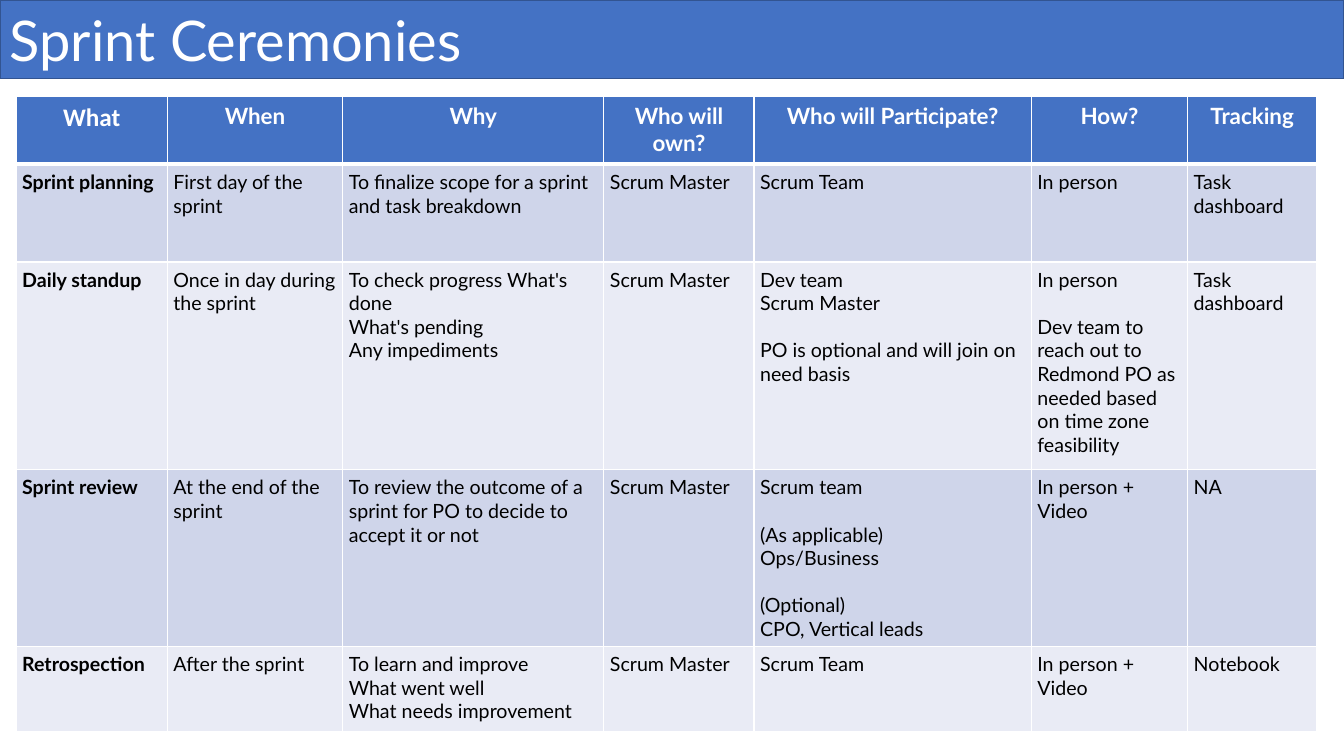
from lxml.etree import SubElement
from pptx import Presentation
from pptx.dml.color import RGBColor
from pptx.enum.shapes import MSO_SHAPE as Shape
from pptx.enum.text import MSO_ANCHOR as Anchor, PP_ALIGN as Align
from pptx.oxml.ns import qn
from pptx.util import Inches, Pt

COLORS = {
    "blue": "4472C4",
    "outline": "325491",
    "band_dark": "CFD5EA",
    "band_light": "E9EBF5",
    "white": "FFFFFF",
    "black": "000000",
}
FONT = "Lato"
GROUP_GAP = Pt(16.8)  # one line of 14 pt text

COLUMN_WIDTHS = [1.5, 1.74, 2.59, 1.49, 2.75, 1.55, 1.28]
ROW_HEIGHTS = [0.67, 0.97, 2.06, 1.74, 0.84]
HEADINGS = ["What", "When", "Why", "Who will own?", "Who will Participate?",
            "How?", "Tracking"]
# A double line break starts a new group of lines within a cell
CEREMONIES = [
    ["Sprint planning", "First day of the sprint",
     "To finalize scope for a sprint and task breakdown",
     "Scrum Master", "Scrum Team", "In person", "Task dashboard"],
    ["Daily standup", "Once in day during the sprint",
     "To check progress What's done\nWhat's pending\nAny impediments",
     "Scrum Master",
     "Dev team\nScrum Master\n\nPO is optional and will join on need basis",
     "In person\n\nDev team to reach out to Redmond PO as needed based on "
     "time zone feasibility",
     "Task dashboard"],
    ["Sprint review", "At the end of the sprint",
     "To review the outcome of a sprint for PO to decide to accept it or not",
     "Scrum Master",
     "Scrum team\n\n(As applicable)\nOps/Business\n\n"
     "(Optional)\nCPO, Vertical leads",
     "In person + Video", "NA"],
    ["Retrospection", "After the sprint",
     "To learn and improve\nWhat went well\nWhat needs improvement",
     "Scrum Master", "Scrum Team", "In person + Video", "Notebook"],
]


def rgb(name):
    return RGBColor.from_string(COLORS[name])


def style_run(run, size, color, bold=False, font=FONT):
    run.font.name = font
    run.font.size = Pt(size)
    run.font.bold = bold
    run.font.color.rgb = rgb(color)


def add_title_bar(slide, text):
    bar = slide.shapes.add_shape(Shape.RECTANGLE, 0, 0, Inches(13.33), Inches(0.78))
    bar.shadow.inherit = False
    bar.fill.solid()
    bar.fill.fore_color.rgb = rgb("blue")
    bar.line.color.rgb = rgb("outline")
    bar.line.width = Pt(1)
    bar.text_frame.text = text
    bar.text_frame.vertical_anchor = Anchor.MIDDLE
    title = bar.text_frame.paragraphs[0]
    title.alignment = Align.LEFT
    style_run(title.runs[0], 40, "white")


def set_borders(cell, top, bottom):
    properties = cell._tc.get_or_add_tcPr()
    for side, width in (("L", 1), ("R", 1), ("T", top), ("B", bottom)):
        line = SubElement(properties, qn(f"a:ln{side}"), w=str(Pt(width)))
        fill = SubElement(line, qn("a:solidFill"))
        SubElement(fill, qn("a:srgbClr"), val=COLORS["white"])


def fill_cell(cell, text, fill, top=1, bottom=1):
    set_borders(cell, top, bottom)
    cell.fill.solid()
    cell.fill.fore_color.rgb = rgb(fill)
    cell.margin_left = cell.margin_right = Inches(0.06)
    cell.margin_top = cell.margin_bottom = Inches(0.06)
    groups = [group.split("\n") for group in text.split("\n\n")]
    cell.text_frame.text = "\n".join(line for group in groups for line in group)
    start = 0
    for group in groups:
        if start:
            cell.text_frame.paragraphs[start].space_before = GROUP_GAP
        start += len(group)


def add_ceremony_table(slide):
    table = slide.shapes.add_table(
        len(ROW_HEIGHTS), len(COLUMN_WIDTHS), Inches(0.16), Inches(0.96),
        Inches(sum(COLUMN_WIDTHS)), Inches(sum(ROW_HEIGHTS))).table
    for column, width in zip(table.columns, COLUMN_WIDTHS):
        column.width = Inches(width)
    for row, height in zip(table.rows, ROW_HEIGHTS):
        row.height = Inches(height)

    # Header row
    for col, heading in enumerate(HEADINGS):
        cell = table.cell(0, col)
        fill_cell(cell, heading, "blue", bottom=3)
        paragraph = cell.text_frame.paragraphs[0]
        paragraph.alignment = Align.CENTER
        size, font = (18, "Calibri") if col == 0 else (16, FONT)
        style_run(paragraph.runs[0], size, "white", True, font)

    # One banded row per ceremony
    for row, ceremony in enumerate(CEREMONIES, 1):
        band = "band_dark" if row % 2 else "band_light"
        for col, text in enumerate(ceremony):
            cell = table.cell(row, col)
            fill_cell(cell, text, band, top=3 if row == 1 else 1)
            for paragraph in cell.text_frame.paragraphs:
                style_run(paragraph.runs[0], 14, "black", col == 0)


def main():
    deck = Presentation()
    deck.slide_width, deck.slide_height = Inches(13.33), Inches(7.5)
    slide = deck.slides.add_slide(deck.slide_layouts[6])
    add_title_bar(slide, "Sprint Ceremonies")
    add_ceremony_table(slide)
    deck.save("out.pptx")


if __name__ == "__main__":
    main()
